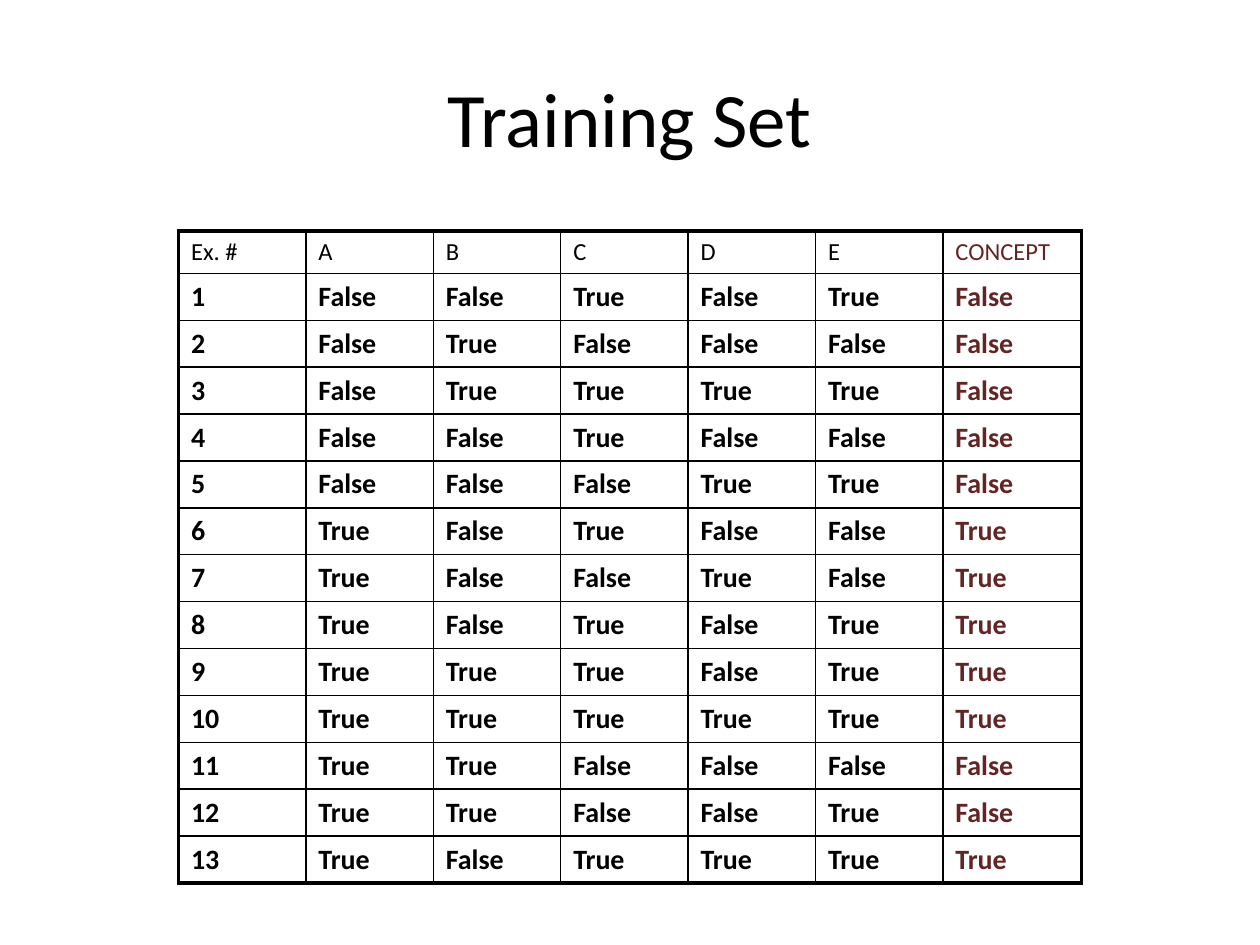
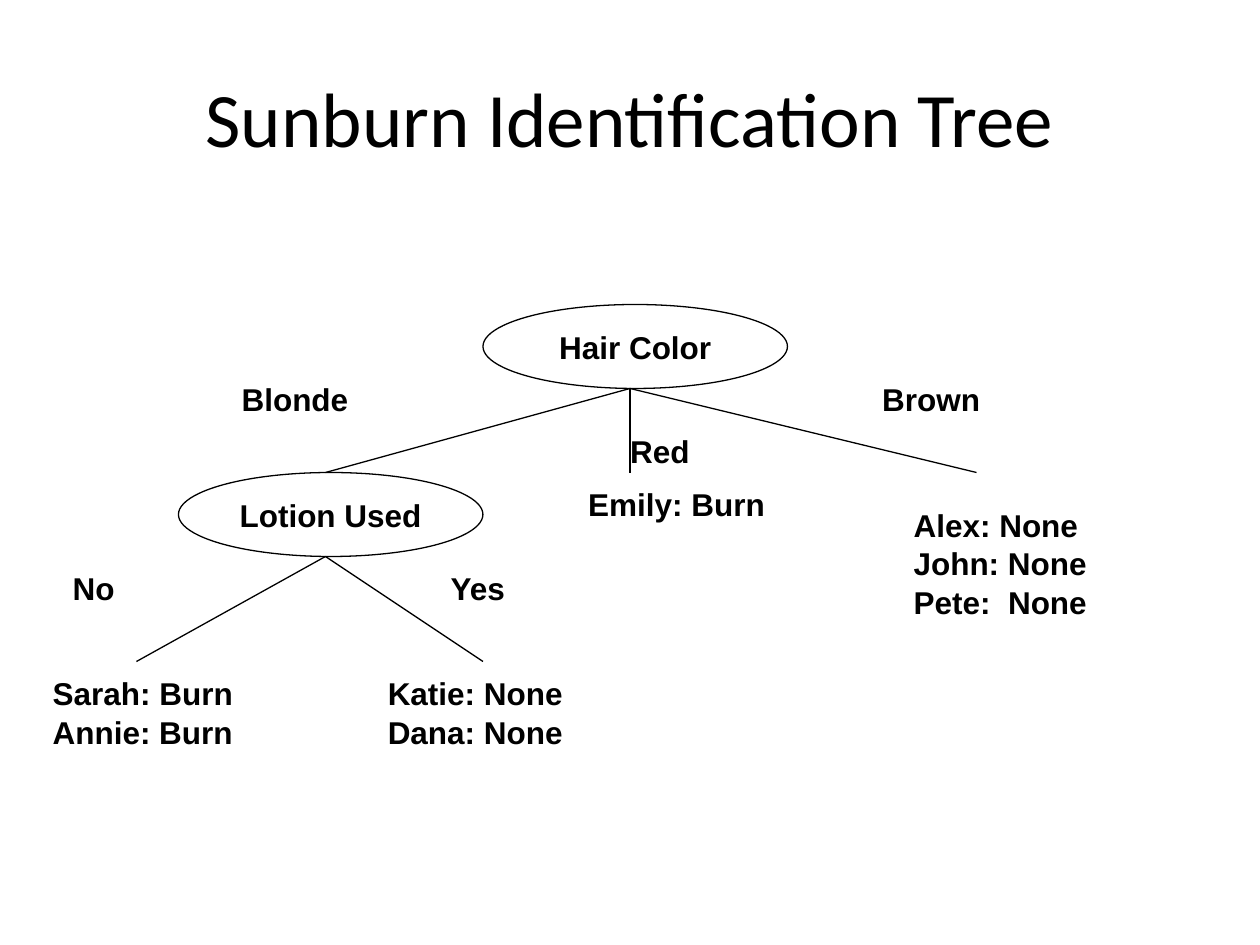
from lxml.etree import SubElement
from pptx import Presentation
from pptx.dml.color import RGBColor
from pptx.enum.shapes import MSO_CONNECTOR, MSO_SHAPE
from pptx.enum.text import MSO_ANCHOR, PP_ALIGN
from pptx.oxml.ns import qn
from pptx.util import Pt

BLACK = RGBColor(0x00, 0x00, 0x00)
MAROON = RGBColor(0x63, 0x25, 0x23)
TITLE_BOX = (36, 21.6, 648, 90)
TABLE_BOX = (102, 132, 516, 371.5)
HEADER_HEIGHT = 24
CONCEPT_WIDTH = 79.2
THIN, THICK = 1, 2.25
NODE_WIDTH, NODE_HEIGHT = 174, 48
FORK_OFFSET = 84
LABEL_LINE = 22

HEADINGS = ["Ex. #", "A", "B", "C", "D", "E", "CONCEPT"]
EXAMPLES = [
    "FFTFTF", "FTFFFF", "FTTTTF", "FFTFFF", "FFFTTF", "TFTFFT", "TFFTFT",
    "TFTFTT", "TTTFTT", "TTTTTT", "TTFFFF", "TTFFTF", "TFTTTT",
]
TRUTH = {"T": "True", "F": "False"}

HAIR_NODE = (276, 174)
HAIR_BRANCHES = [(-90, 96), (84, 96), (282, 96)]
HAIR_LABELS = [
    (-145, 39, 84, ["Blonde"]),
    (77, 69, 54, ["Red"]),
    (221, 39, 80, ["Brown"]),
    (239, 111, 127, ["Alex: None", "John: None", "Pete:  None"]),
    (53, 99.5, 134, ["Emily: Burn"]),
]
LOTION_NODE = (102, 270)
LOTION_BRANCHES = [(-24, 108), (174, 108)]
LOTION_LABELS = [
    (-67.5, 51, 44, ["No"]),
    (148.5, 51, 52, ["Yes"]),
    (-79, 111.5, 134, ["Sarah: Burn", "Annie: Burn"]),
    (112.5, 111.5, 131, ["Katie: None", "Dana: None"]),
]


def points(*lengths):
    return [Pt(length) for length in lengths]


def add_span(para, text, font_name, size, bold=False, color=BLACK):
    span = para.add_run()
    span.text = text
    span.font.name = font_name
    span.font.size = Pt(size)
    span.font.bold = bold
    span.font.color.rgb = color


def add_page(deck, title):
    page = deck.slides.add_slide(deck.slide_layouts[5])
    box = page.shapes.title
    box.left, box.top, box.width, box.height = points(*TITLE_BOX)
    box.text_frame.vertical_anchor = MSO_ANCHOR.MIDDLE
    para = box.text_frame.paragraphs[0]
    para.alignment = PP_ALIGN.CENTER
    add_span(para, title, "Calibri", 44)
    return page


def set_border(cell, side, width):
    line = SubElement(cell._tc.get_or_add_tcPr(), qn(f"a:ln{side}"), w=str(Pt(width)))
    fill = SubElement(line, qn("a:solidFill"))
    SubElement(fill, qn("a:srgbClr"), val=str(BLACK))


def draw_training_table(page, left, top, width, height):
    rows = [HEADINGS]
    for number, values in enumerate(EXAMPLES, 1):
        rows.append([str(number)] + [TRUTH[value] for value in values])
    last_row, last_column = len(rows) - 1, len(HEADINGS) - 1
    table = page.shapes.add_table(
        len(rows), len(HEADINGS), *points(left, top, width, height)).table
    table.first_row = table.horz_banding = False
    for index, column in enumerate(table.columns):
        column.width = Pt(CONCEPT_WIDTH if index == last_column
                          else (width - CONCEPT_WIDTH) / last_column)
    for index, row in enumerate(table.rows):
        row.height = Pt((height - HEADER_HEIGHT) / last_row if index else HEADER_HEIGHT)
    for r, texts in enumerate(rows):
        for c, text in enumerate(texts):
            cell = table.cell(r, c)
            outer_edges = {"L": c == 0, "R": c == last_column,
                           "T": r == 0, "B": r == last_row}
            for side, outer in outer_edges.items():
                set_border(cell, side, THICK if outer else THIN)
            cell.fill.background()
            add_span(cell.text_frame.paragraphs[0], text, "Calibri",
                     16 if r else 14, bold=r > 0,
                     color=MAROON if c == last_column else BLACK)


def write_tree_lines(frame, lines, alignment):
    for index, text in enumerate(lines):
        para = frame.add_paragraph() if index else frame.paragraphs[0]
        para.alignment = alignment
        para.line_spacing = Pt(LABEL_LINE)
        add_span(para, text, "Arial", 18, bold=True)


def draw_node(page, left, top, question):
    node = page.shapes.add_shape(
        MSO_SHAPE.OVAL, *points(left, top, NODE_WIDTH, NODE_HEIGHT))
    node.shadow.inherit = False
    node.fill.background()
    node.line.color.rgb = BLACK
    node.line.width = Pt(0.75)
    node.text_frame.word_wrap = False
    node.text_frame.vertical_anchor = MSO_ANCHOR.MIDDLE
    write_tree_lines(node.text_frame, [question], PP_ALIGN.CENTER)


def draw_branch(page, *ends):
    branch = page.shapes.add_connector(MSO_CONNECTOR.STRAIGHT, *points(*ends))
    branch.line.color.rgb = BLACK
    branch.line.width = Pt(0.75)
    SubElement(branch._element.spPr, qn("a:effectLst"))


def draw_label(page, left, top, width, lines):
    box = page.shapes.add_textbox(
        *points(left, top, width, 7.2 + LABEL_LINE * len(lines)))
    box.text_frame.word_wrap = True
    write_tree_lines(box.text_frame, lines, PP_ALIGN.LEFT)


def draw_question(page, origin, question, branches, labels):
    left, top = origin
    draw_node(page, left, top, question)
    for x, y in branches:
        draw_branch(page, left + FORK_OFFSET, top + NODE_HEIGHT, left + x, top + y)
    for x, y, width, lines in labels:
        draw_label(page, left + x, top + y, width, lines)


def main():
    deck = Presentation()
    deck.slide_width, deck.slide_height = points(720, 540)
    page = add_page(deck, "Training Set")
    draw_training_table(page, *TABLE_BOX)
    page = add_page(deck, "Sunburn Identification Tree")
    draw_question(page, HAIR_NODE, "Hair Color", HAIR_BRANCHES, HAIR_LABELS)
    draw_question(page, LOTION_NODE, "Lotion Used", LOTION_BRANCHES, LOTION_LABELS)
    deck.save("out.pptx")


if __name__ == "__main__":
    main()
